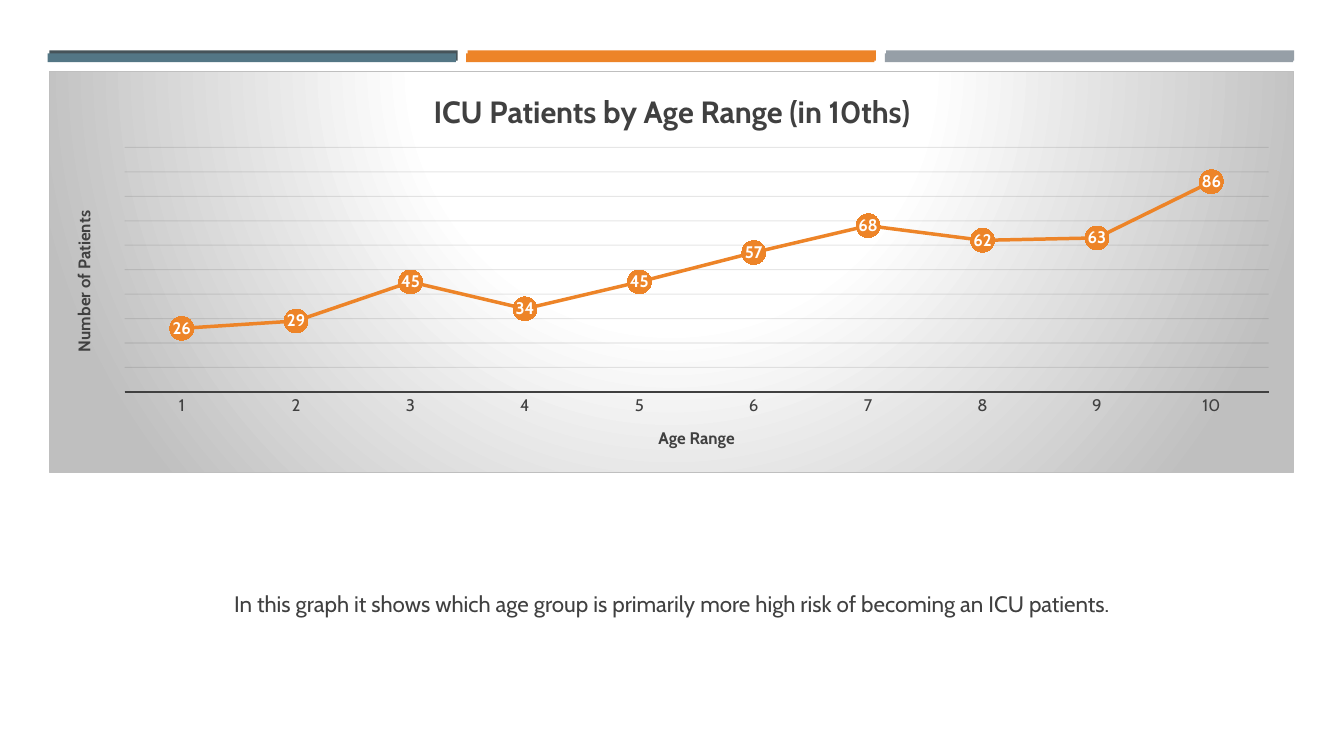
import pptx
import pptx.util
import pptx.oxml
import pptx.chart.data
import pptx.dml.color
import pptx.enum.chart
import pptx.enum.shapes
import pptx.enum.text

Pt = pptx.util.Pt
NS = ('xmlns:a="http://schemas.openxmlformats.org/drawingml/2006/main" '
      'xmlns:c="http://schemas.openxmlformats.org/drawingml/2006/chart"')
HUES = {"dark": "465359", "teal": "537685", "amber": "ED8428", "slate": "969FA7",
        "text": "404040", "grid": "0D0D0D", "white": "FFFFFF", "edge": "BFBFBF"}
COUNTS = [26, 29, 45, 34, 45, 57, 68, 62, 63, 86]


class Deck:
    def __init__(self, font):
        self.font = font
        self.show = pptx.Presentation()
        self.show.slide_width, self.show.slide_height = Pt(960), Pt(540)
        self.slide = self.show.slides.add_slide(self.show.slide_layouts[1])
        title = self.slide.shapes.title._element
        title.getparent().remove(title)

    def hue(self, name):
        return pptx.dml.color.RGBColor.from_string(HUES[name])

    def style(self, font, size, bold=False, hue="text"):
        font.name, font.size, font.bold = self.font, Pt(size), bold
        font.color.rgb = self.hue(hue)

    def bar(self, left, top, width, height, hue):
        shape = self.slide.shapes.add_shape(
            pptx.enum.shapes.MSO_SHAPE.RECTANGLE, Pt(left), Pt(top), Pt(width), Pt(height))
        shape.shadow.inherit = False
        shape.fill.solid()
        shape.fill.fore_color.rgb = self.hue(hue)
        shape.line.fill.background()

    def body(self, text, left, top, width, height, size):
        box = self.slide.placeholders[1]
        box.left, box.top, box.width, box.height = Pt(left), Pt(top), Pt(width), Pt(height)
        frame = box.text_frame
        frame.text = text
        frame.word_wrap = True
        frame.auto_size = pptx.enum.text.MSO_AUTO_SIZE.NONE
        frame.vertical_anchor = pptx.enum.text.MSO_ANCHOR.TOP
        para = frame.paragraphs[0]
        para.alignment = pptx.enum.text.PP_ALIGN.CENTER
        para.space_before, para.space_after = Pt(3), Pt(6)
        props = para._p.get_or_add_pPr()
        props.set("marL", "0")
        props.set("indent", "0")
        props.append(pptx.oxml.parse_xml(f"<a:buNone {NS}/>"))
        self.style(para.runs[0].font, size)

    def label(self, owner, text, size):
        frame = (owner.chart_title if hasattr(owner, "chart_title") else owner.axis_title).text_frame
        frame.text = text
        self.style(frame.paragraphs[0].runs[0].font, size, True)

    def chart(self, counts, left, top, width, height):
        data = pptx.chart.data.CategoryChartData()
        data.categories = [str(n) for n in range(1, len(counts) + 1)]
        data.add_series("Series 1", counts)
        chart = self.slide.shapes.add_chart(
            pptx.enum.chart.XL_CHART_TYPE.LINE_MARKERS,
            Pt(left), Pt(top), Pt(width), Pt(height), data).chart
        chart.has_legend = False
        self.style(chart.font, 12)
        self.label(chart, "ICU Patients by Age Range (in 10ths)", 22)
        chart.chart_title.include_in_layout = False
        self.axes(chart)
        self.line(chart.plots[0])
        self.frame(chart)

    def axes(self, chart):
        ages, scale = chart.category_axis, chart.value_axis
        self.label(ages, "Age Range", 12)
        self.label(scale, "Number of Patients", 12)
        body = scale.axis_title.text_frame._txBody.bodyPr
        body.set("rot", "-5400000")
        body.set("vert", "horz")
        ages.major_tick_mark = pptx.enum.chart.XL_TICK_MARK.NONE
        self.style(ages.tick_labels.font, 12)
        ages.format.line.color.rgb = self.hue("text")
        ages.format.line.width = Pt(1.5)
        scale.minimum_scale, scale.maximum_scale, scale.major_unit = 0, 100, 10
        scale.visible = False
        grid = scale.major_gridlines.format.line
        grid.color.rgb = self.hue("grid")
        grid.width = Pt(0.75)
        tint = scale.major_gridlines._xAx.xpath("c:majorGridlines//a:srgbClr")[0]
        tint.append(pptx.oxml.parse_xml(f'<a:alpha {NS} val="10000"/>'))

    def line(self, plot):
        plot.vary_by_categories = False
        series = plot.series[0]
        series.smooth = False
        series.format.line.color.rgb = self.hue("amber")
        series.format.line.width = Pt(2.5)
        mark = series.marker
        mark.style = pptx.enum.chart.XL_MARKER_STYLE.CIRCLE
        mark.size = 17
        mark.format.fill.solid()
        mark.format.fill.fore_color.rgb = self.hue("amber")
        mark.format.line.fill.background()
        tags = series.data_labels
        tags.show_value = True
        tags.position = pptx.enum.chart.XL_LABEL_POSITION.CENTER
        self.style(tags.font, 12, True, "white")

    def frame(self, chart):
        # Plot area as shares of the chart
        area = chart._chartSpace.xpath("c:chart/c:plotArea")[0]
        for old in area.xpath("c:layout"):
            area.remove(old)
        share = "".join(f'<c:{key} val="{val}"/>' for key, val in
                        (("x", 0.06), ("y", 0.19), ("w", 0.92), ("h", 0.61)))
        area.insert(0, pptx.oxml.parse_xml(
            f'<c:layout {NS}><c:manualLayout><c:layoutTarget val="inner"/>'
            f'<c:xMode val="edge"/><c:yMode val="edge"/>{share}</c:manualLayout></c:layout>'))
        # Radial background and border
        stops = "".join(f'<a:gs pos="{pos}000"><a:srgbClr val="{HUES[hue]}"/></a:gs>'
                        for pos, hue in ((0, "white"), (39, "white"), (100, "edge")))
        chart._chartSpace.xpath("c:chart")[0].addnext(pptx.oxml.parse_xml(
            f'<c:spPr {NS}><a:gradFill><a:gsLst>{stops}</a:gsLst><a:path path="circle">'
            '<a:fillToRect l="50000" t="-80000" r="50000" b="180000"/></a:path></a:gradFill>'
            f'<a:ln w="{Pt(0.75)}"><a:solidFill><a:srgbClr val="{HUES["edge"]}"/></a:solidFill>'
            '</a:ln></c:spPr>'))


def main():
    deck = Deck("Cabin")
    # Top bars: a back row and a slightly shifted front row
    for i, hue in enumerate(("dark", "amber", "slate")):
        deck.bar(35.3 + 298.8 * i, 36, 291.6, 7.4, hue)
    for i, hue in enumerate(("teal", "amber", "slate")):
        deck.bar(34 + 299 * i, 38.2, 291.6, 6.3, hue)
    # Patient chart
    deck.chart(COUNTS, 35.3, 50.6, 889, 287)
    # Caption
    deck.body("In this graph it shows which age group is primarily more high risk "
              "of becoming an ICU patients.", 46, 417.6, 868.3, 75, 16)
    deck.show.save("out.pptx")


if __name__ == "__main__":
    main()
